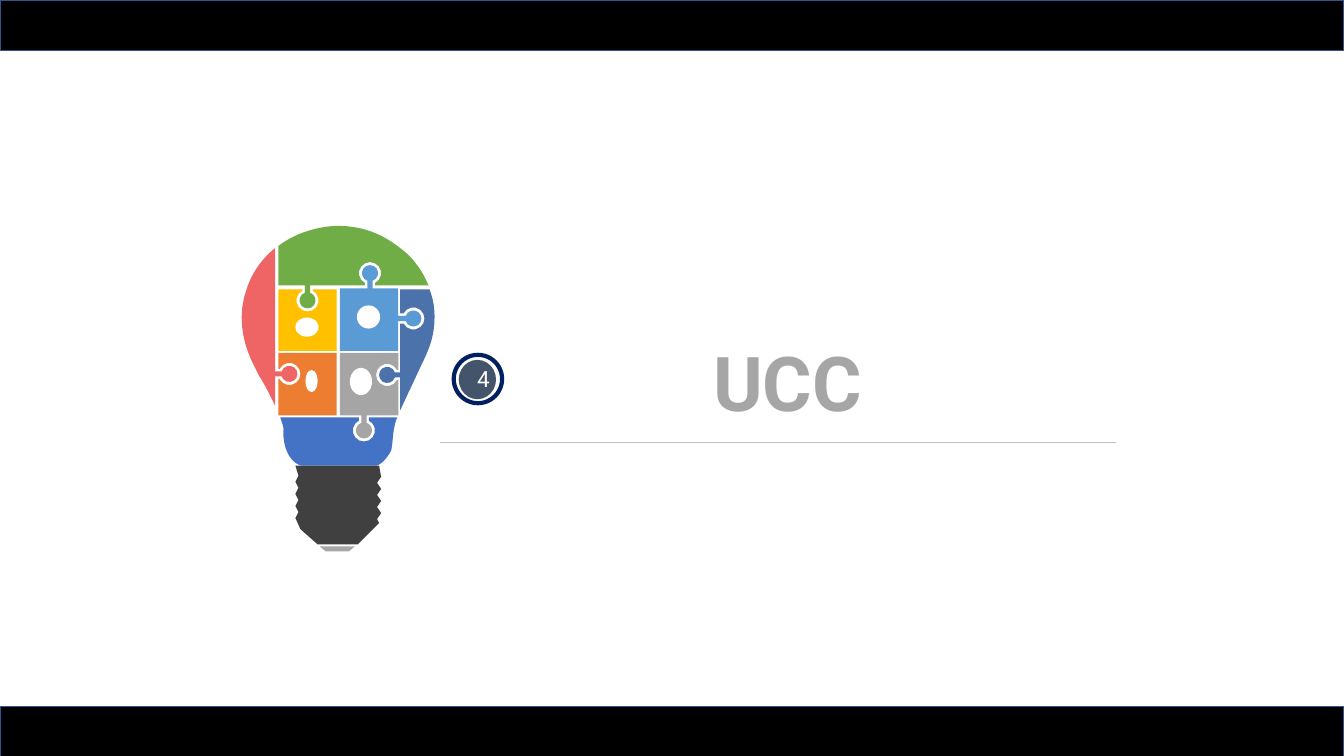
from math import asin, copysign, cos, pi, sin
from lxml.etree import SubElement
from pptx import Presentation
from pptx.dml.color import RGBColor
from pptx.enum.shapes import MSO_CONNECTOR, MSO_SHAPE
from pptx.enum.text import MSO_ANCHOR, PP_ALIGN
from pptx.oxml.ns import qn
from pptx.util import Pt

PX = 9144
WIDTH, HEIGHT = 1333, 750
STEPS = 12

THEME = dict(
    font="Roboto", title_size=54, number_size=16,
    gray="A5A5A5", orange="ED7D31", green="70AD47", sky="5B9BD5", steel="4B72AB",
    blue="4472C4", red="EF6464", yellow="FFC000", socket="404040", tip="A6A6A6",
    white="FFFFFF", title="A6A6A6", ring="002060", disc="44546A", rule="BFBFBF",
    bar="000000", bar_line="325491",
)

TITLE = ("UCC", (497, 328, 568, 101))
NUMBER = ("4", (470, 357, 19, 37))
RING = (450, 352, 48, 48)
DISC = (455, 357, 37, 39)
RULE = (436, 439, 1107, 439)
BAR_HEIGHT = 50
BAR_TOPS = (0, 701)
ICONS = [(293, 315, 23, 19), (303, 367, 12, 22), (354, 303, 23, 23), (347, 365, 22, 27)]

UP, DOWN, LEFT, RIGHT = (0, -1), (0, 1), (-1, 0), (1, 0)
KNOBS = {
    "green-yellow": ((305, 298), DOWN),
    "sky-green": ((367, 271), UP),
    "sky-steel": ((410, 316), RIGHT),
    "steel-gray": ((384, 372), LEFT),
    "gray-blue": ((361, 427), DOWN),
    "red-orange": ((287, 371), RIGHT),
}
KNOB_SIZE = (8, 2.5)
HOLE_SIZE = (11, 5)

TEETH = range(8)
THREAD = ([(374 if i % 2 else 378, 473 + 6 * i) for i in TEETH]
          + [(376, 519), (355, 540), (315, 540), (298, 525)]
          + [(296 if i % 2 else 293, 514 - 6 * i) for i in TEETH])

# Two numbers draw a line, six a cubic curve, a name a knob or its hole.
BULB = [
    ("gray", [(395, 350), (337, 350), (337, 412), "gray-blue", (395, 412), "steel-gray"]),
    ("orange", [(334, 350), (334, 412), (276, 412), "red-orange", (276, 350)]),
    ("green", [(276, 283), "green-yellow", "sky-green", (425, 283),
               (420, 271, 412, 259, 403, 251), (384, 235, 366, 225, 337, 224),
               (320, 224, 296, 229, 276, 244)]),
    ("sky", [(395, 348), (337, 348), (337, 286), "sky-green", (395, 286), "sky-steel"]),
    ("steel", [(397, 287), "sky-steel", "steel-gray", (397, 407),
               (403, 394, 412, 375, 418, 362), (428, 342, 431, 330, 431, 314),
               (431, 307, 430, 297, 426, 287)]),
    ("blue", [(394, 414), "gray-blue", (278, 414), (280, 420, 282, 425, 281, 428),
              (281, 454, 295, 462, 300, 462), (372, 462),
              (378, 462, 385, 453, 388, 447), (390, 440, 389, 426, 394, 414)]),
    ("red", [(273, 403), "red-orange", (273, 246), (262, 255, 252, 267, 246, 283),
             (228, 328, 254, 365, 257, 373), (260, 377, 267, 390, 273, 403)]),
    ("yellow", [(334, 348), (276, 348), (276, 287), "green-yellow", (334, 287)]),
    ("socket", [(293, 462), (376, 462)] + THREAD),
    ("tip", [(317, 542), (352, 542), (346, 547), (323, 547)]),
]


def rgb(name):
    return RGBColor.from_string(THEME[name])


def emu(values):
    return [round(v * PX) for v in values]


def paint(s, fill=None, line=None, weight=1):
    s.shadow.inherit = False
    if fill:
        s.fill.solid()
        s.fill.fore_color.rgb = rgb(fill)
    else:
        s.fill.background()
    if line:
        s.line.color.rgb = rgb(line)
        s.line.width = Pt(weight)
    else:
        s.line.fill.background()


def add_preset(shapes, kind, box, **style):
    paint(shapes.add_shape(kind, *emu(box)), **style)


def curve(start, seg):
    corners = [start, seg[:2], seg[2:4], seg[4:]]
    points = []
    for i in range(1, STEPS + 1):
        t = i / STEPS
        u = 1 - t
        weights = (u ** 3, 3 * u * u * t, 3 * u * t * t, t ** 3)
        points.append(tuple(sum(w * c[k] for w, c in zip(weights, corners)) for k in (0, 1)))
    return points


def knob(start, name, color):
    (cx, cy), (dx, dy) = KNOBS[name]
    radius, neck = KNOB_SIZE if name.startswith(color) else HOLE_SIZE
    sx, sy = start[0] - cx, start[1] - cy
    base = sx * dx + sy * dy
    side = copysign(1, sy * dx - sx * dy)
    opening = asin(neck / radius)
    angles = [opening + (2 * pi - 2 * opening) * i / STEPS for i in range(STEPS + 1)]
    local = [(base, neck)]
    local += [(-radius * cos(a), radius * sin(a)) for a in angles]
    local += [(base, -neck)]
    return [(cx + a * dx - side * b * dy, cy + a * dy + side * b * dx) for a, b in local]


def add_piece(shapes, color, segments):
    points = [segments[0]]
    for seg in segments[1:]:
        if isinstance(seg, str):
            points += knob(points[-1], seg, color)
        elif len(seg) == 2:
            points.append(seg)
        else:
            points += curve(points[-1], seg)
    points = [tuple(emu(p)) for p in points]
    builder = shapes.build_freeform(*points[0])
    builder.add_line_segments(points[1:], close=True)
    paint(builder.convert_to_shape(), fill=color)


def write(s, content, size, color, bold, frame):
    text, box = content
    s.left, s.top, s.width, s.height = emu(box)
    tf = s.text_frame
    for key, value in frame.items():
        setattr(tf, key, value)
    p = tf.paragraphs[0]
    p.alignment = PP_ALIGN.CENTER
    r = p.add_run()
    r.text = text
    for key, value in dict(name=THEME["font"], size=Pt(THEME[size]), bold=bold).items():
        setattr(r.font, key, value)
    r.font.color.rgb = rgb(color)


def main():
    prs = Presentation()
    prs.slide_width, prs.slide_height = emu((WIDTH, HEIGHT))
    shapes = prs.slides.add_slide(prs.slide_layouts[5]).shapes

    for color, segments in BULB:
        add_piece(shapes, color, segments)
    for box in ICONS:
        add_preset(shapes, MSO_SHAPE.OVAL, box, fill="white")

    write(shapes.title, TITLE, "title_size", "title", True,
          dict(word_wrap=True, vertical_anchor=MSO_ANCHOR.TOP))

    add_preset(shapes, MSO_SHAPE.OVAL, RING, line="ring", weight=3)
    add_preset(shapes, MSO_SHAPE.OVAL, DISC, fill="disc")
    write(shapes.add_textbox(0, 0, 0, 0), NUMBER, "number_size", "white", False,
          dict(word_wrap=False, vertical_anchor=MSO_ANCHOR.MIDDLE, margin_left=0, margin_right=0))

    rule = shapes.add_connector(MSO_CONNECTOR.STRAIGHT, *emu(RULE))
    rule.line.color.rgb = rgb("rule")
    rule.line.width = Pt(1)
    SubElement(rule._element.spPr, qn("a:effectLst"))

    for top in BAR_TOPS:
        add_preset(shapes, MSO_SHAPE.RECTANGLE, (0, top, WIDTH, BAR_HEIGHT),
                   fill="bar", line="bar_line")

    prs.save("out.pptx")


if __name__ == "__main__":
    main()
